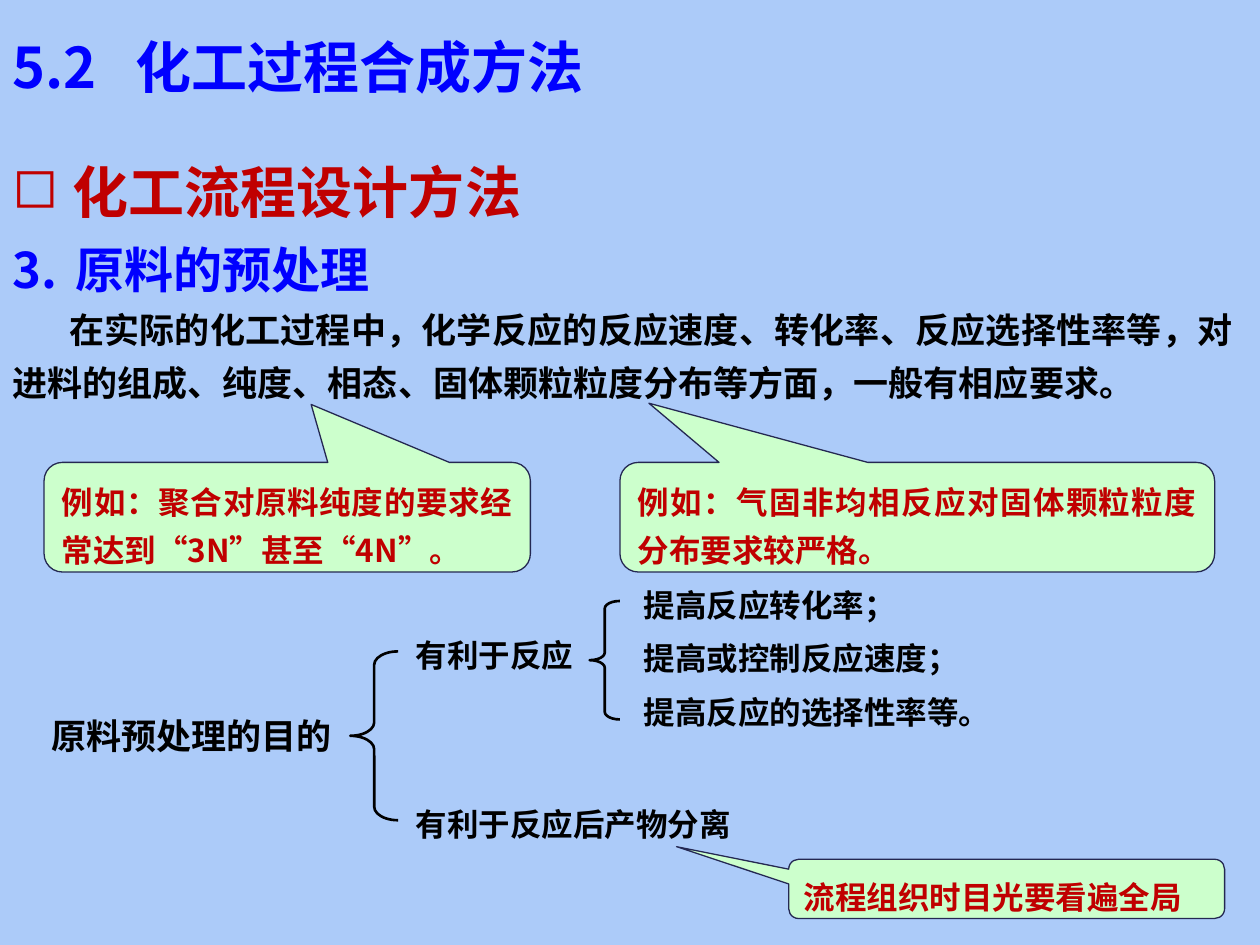
import pptx
import pptx.util
import pptx.dml.color
import pptx.enum.shapes
import pptx.enum.text
import pptx.oxml.ns
import lxml.etree

SCALE = 9144  # EMU per px, 100 px to the inch
FONT = "Noto Sans CJK SC"
COLORS = {
    "background": "ACCBF9",
    "blue": "0000FF",
    "red": "C00000",
    "black": "000000",
    "callout": "CCFFCC",
    "outline": "242852",
}
SHAPES = pptx.enum.shapes.MSO_SHAPE
JUSTIFY = pptx.enum.text.PP_ALIGN.JUSTIFY
TOP = pptx.enum.text.MSO_ANCHOR.TOP


def px(length):
    return pptx.util.Emu(length * SCALE)


def rgb(name):
    return pptx.dml.color.RGBColor.from_string(COLORS[name])


def add_property(paragraph, tag, **attributes):
    properties = paragraph._p.get_or_add_pPr()
    return lxml.etree.SubElement(properties, pptx.oxml.ns.qn(tag), **attributes)


def write(frame, text, size=18, color="black", align=None, line_spacing=None,
          space_before=0, margin=0, indent=0, bullet=None, number=None, tab=None):
    """Fill the first paragraph of the frame, or append one if it is taken."""
    paragraph = frame.paragraphs[0]
    if paragraph.runs:
        paragraph = frame.add_paragraph()
        paragraph.space_before = pptx.util.Pt(space_before)
    if align is not None:
        paragraph.alignment = align
    if line_spacing:
        paragraph.line_spacing = line_spacing
    if margin or indent:
        properties = paragraph._p.get_or_add_pPr()
        properties.set("marL", str(px(margin)))
        properties.set("indent", str(px(indent)))
    if bullet:
        add_property(paragraph, "a:buChar", char=bullet)
    if number:
        add_property(paragraph, "a:buFont", typeface=FONT)
        add_property(paragraph, "a:buAutoNum", type="arabicPeriod", startAt=str(number))
    if tab:
        stops = add_property(paragraph, "a:tabLst")
        lxml.etree.SubElement(stops, pptx.oxml.ns.qn("a:tab"), pos=str(px(tab)), algn="l")
    run = paragraph.add_run()
    run.text = text
    run.font.size = pptx.util.Pt(size)
    run.font.bold = True
    run.font.name = FONT
    run.font.color.rgb = rgb(color)
    lxml.etree.SubElement(run.font._element, pptx.oxml.ns.qn("a:ea"), typeface=FONT)


def add_frame(slide, left, top, width, height):
    box = slide.shapes.add_textbox(px(left), px(top), px(width), px(height))
    box.text_frame.word_wrap = True
    box.text_frame.vertical_anchor = TOP
    return box.text_frame


def add_outlined(slide, kind, box, adjustments, line, line_width):
    shape = slide.shapes.add_shape(kind, *map(px, box))
    shape.shadow.inherit = False
    for index, value in enumerate(adjustments):
        shape.adjustments[index] = value
    shape.line.color.rgb = rgb(line)
    shape.line.width = pptx.util.Pt(line_width)
    return shape


def add_callout(slide, left, top, width, height, tip, text):
    """Place a rounded callout; tip is the pointer's offset from its box."""
    tip_x, tip_y = tip
    adjustments = (tip_x / width - 0.5, tip_y / height - 0.5, 0.167)
    callout = add_outlined(slide, SHAPES.ROUNDED_RECTANGULAR_CALLOUT,
                           (left, top, width, height), adjustments, "outline", 0.75)
    callout.fill.solid()
    callout.fill.fore_color.rgb = rgb("callout")
    callout.text_frame.word_wrap = True
    callout.text_frame.vertical_anchor = TOP
    write(callout.text_frame, text, color="red", align=JUSTIFY, line_spacing=1.25)


def add_brace(slide, left, top, width, height, curve):
    brace = add_outlined(slide, SHAPES.LEFT_BRACE, (left, top, width, height),
                         (curve, 0.5), "black", 1.5)
    brace.fill.background()


def add_title(slide, left, top, width, height):
    frame = add_frame(slide, left, top, width, height)
    write(frame, "5.2\t化工过程合成方法", size=32, color="blue", tab=98)


def add_body(slide, left, top, width, height):
    frame = add_frame(slide, left, top, width, height)
    write(frame, "化工流程设计方法", size=32, color="red", align=JUSTIFY,
          line_spacing=1.25, margin=48, indent=-48, bullet="◻")
    write(frame, "原料的预处理", size=28, color="blue", line_spacing=1.25,
          margin=50, indent=-50, number=3)
    write(frame, "在实际的化工过程中，化学反应的反应速度、转化率、反应选择性率等，"
          "对进料的组成、纯度、相态、固体颗粒粒度分布等方面，一般有相应要求。",
          size=20, align=JUSTIFY, line_spacing=1.25, indent=45)


def add_purpose_tree(slide, left, top):
    write(add_frame(slide, left, top + 102, 250, 44), "原料预处理的目的", size=20)
    add_brace(slide, left + 247, top + 57, 38, 134, 0.28)
    for offset, branch in ((40, "有利于反应"), (174, "有利于反应后产物分离")):
        write(add_frame(slide, left + 289, top + offset, 286, 40), branch)
    add_brace(slide, left + 437, top + 17, 24, 94, 0.25)
    benefits = add_frame(slide, left + 470, top, 321, 131)
    for benefit in ("提高反应转化率；", "提高或控制反应速度；", "提高反应的选择性率等。"):
        write(benefits, benefit, space_before=9)


def main():
    deck = pptx.Presentation()
    deck.slide_width, deck.slide_height = px(1000), px(750)
    slide = deck.slides.add_slide(deck.slide_layouts[6])
    slide.background.fill.solid()
    slide.background.fill.fore_color.rgb = rgb("background")

    add_body(slide, 0, 107, 988, 217)
    add_title(slide, 0, 21, 1000, 64)
    add_callout(slide, 35, 367, 386, 87, (212, -46),
                "例如：聚合对原料纯度的要求经常达到“3N”甚至“4N”。")
    add_callout(slide, 492, 367, 472, 87, (23, -47),
                "例如：气固非均相反应对固体颗粒粒度分布要求较严格。")
    add_purpose_tree(slide, 31, 460)
    add_callout(slide, 626, 682, 346, 47, (-89, -10), "流程组织时目光要看遍全局")
    deck.save("out.pptx")


if __name__ == "__main__":
    main()
